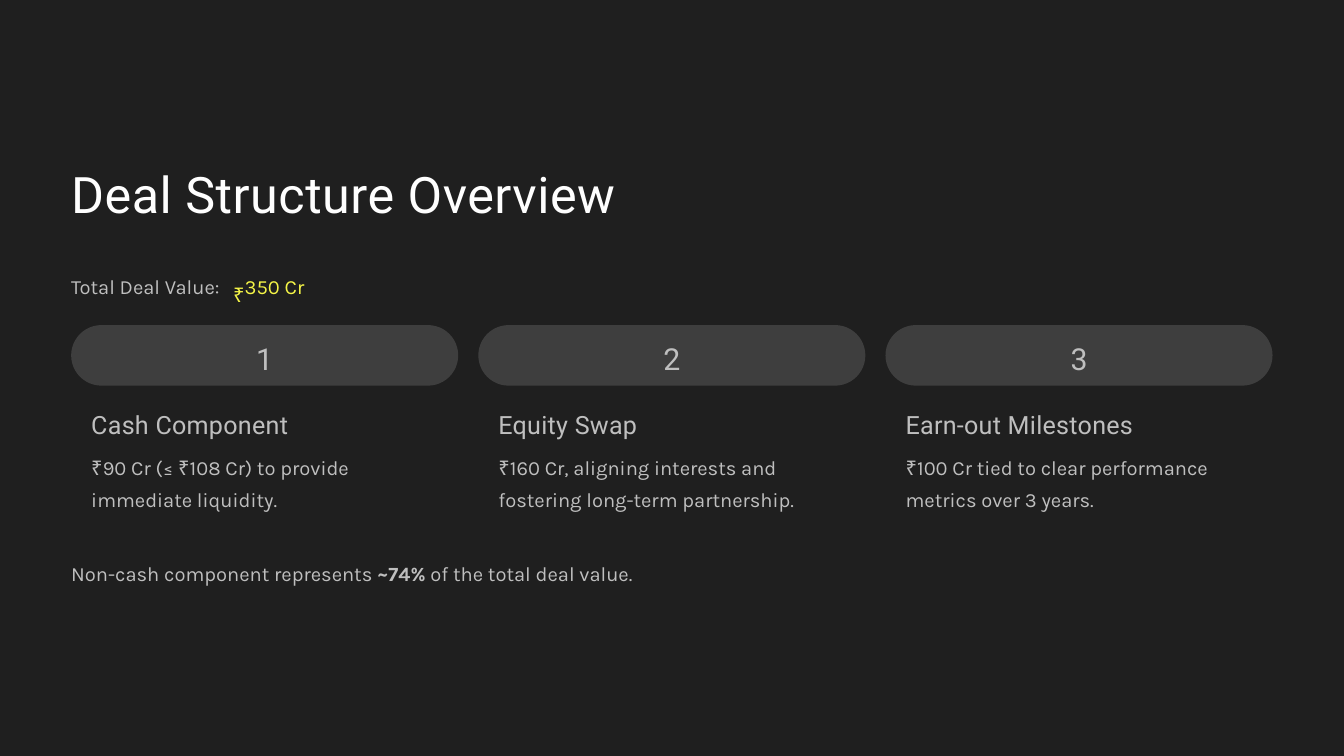
from pptx import Presentation
from pptx.dml.color import RGBColor
from pptx.enum.shapes import MSO_SHAPE
from pptx.enum.text import MSO_ANCHOR, PP_ALIGN
from pptx.util import Cm, Pt

ROUNDED = MSO_SHAPE.ROUNDED_RECTANGLE
LEFT, CENTER = PP_ALIGN.LEFT, PP_ALIGN.CENTER
TOP, MIDDLE = MSO_ANCHOR.TOP, MSO_ANCHOR.MIDDLE

COLORS = {
    "background": "1F1F1F",
    "pill": "3E3E3E",
    "title": "FEFEFE",
    "text": "BFBFBF",
    "accent": "F5F547",
}

presentation = Presentation()
presentation.slide_width = Cm(50.8)
presentation.slide_height = Cm(28.58)
slide = presentation.slides.add_slide(presentation.slide_layouts[6])
slide.background.fill.solid()
slide.background.fill.fore_color.rgb = RGBColor.from_string(COLORS["background"])


def add_text(text, box=None, shape=None, size=21.6, font="Karla", color="text",
             line=30.2, tracking=0, align=LEFT, anchor=TOP, bold=""):
    if shape is None:
        shape = slide.shapes.add_textbox(*[Cm(length) for length in box])
    frame = shape.text_frame
    frame.word_wrap = True
    frame.vertical_anchor = anchor
    frame.margin_left = frame.margin_right = 0
    frame.margin_top = frame.margin_bottom = 0
    paragraph = frame.paragraphs[0]
    paragraph.alignment = align
    paragraph.line_spacing = Pt(line)
    before, strong, after = text.partition(bold) if bold else (text, "", "")
    for part in filter(None, (before, strong, after)):
        run = paragraph.add_run()
        run.text = part
        run.font.size = Pt(size)
        run.font.name = font
        run.font.bold = part == strong
        run.font.color.rgb = RGBColor.from_string(COLORS[color])
        if tracking:
            run.font._element.set("spc", str(round(tracking * 100)))


MARGIN = 2.69
PILL_WIDTH = 14.63
PITCH = 15.39
PADDING = 0.76

add_text("Deal Structure Overview", box=(MARGIN, 7.49, 21.95, 1.3), size=53.9,
         font="Roboto", color="title", line=26.9, tracking=0.6)
add_text("Total Deal Value:", box=(MARGIN, 10.24, 6.05, 1.04))
add_text("₹", box=(8.81, 9.68, 0.43, 1.68), font="Open Sans", color="accent", line=53.9)
add_text("350 Cr", box=(9.25, 10.24, 2.5, 1.04), color="accent")

components = [
    ("Cash Component", "₹90 Cr (≤ ₹108 Cr) to provide immediate liquidity."),
    ("Equity Swap", "₹160 Cr, aligning interests and fostering long-term partnership."),
    ("Earn-out Milestones", "₹100 Cr tied to clear performance metrics over 3 years."),
]
for index, (heading, description) in enumerate(components):
    left = MARGIN + index * PITCH
    pill = slide.shapes.add_shape(ROUNDED, Cm(left), Cm(12.29), Cm(PILL_WIDTH), Cm(2.29))
    pill.adjustments[0] = 0.5
    pill.shadow.inherit = False
    pill.fill.solid()
    pill.fill.fore_color.rgb = RGBColor.from_string(COLORS["pill"])
    pill.line.fill.background()
    add_text(str(index + 1), shape=pill, size=32.4, font="Roboto", line=45.3,
             tracking=0.3, align=CENTER, anchor=MIDDLE)
    add_text(heading, box=(left + PADDING, 15.27, 9.2, 1.3), size=26.9,
             font="Roboto", line=37.7, tracking=0.3)
    add_text(description, box=(left + PADDING, 16.89, 12, 2.39), line=34.7)

add_text("Non-cash component represents ~74% of the total deal value.",
         box=(MARGIN, 21.06, 22.38, 1.07), bold="~74%")

presentation.save("out.pptx")
